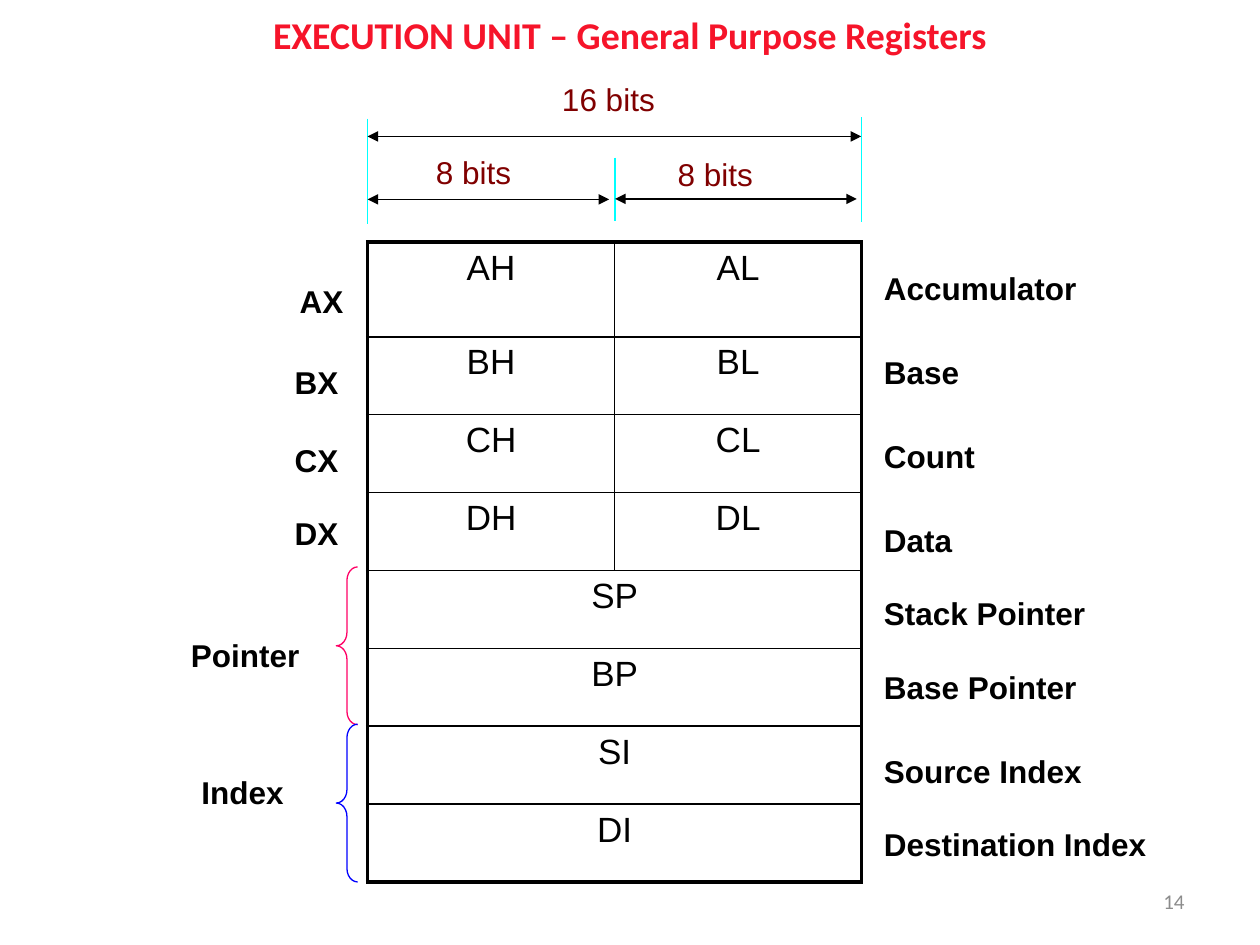
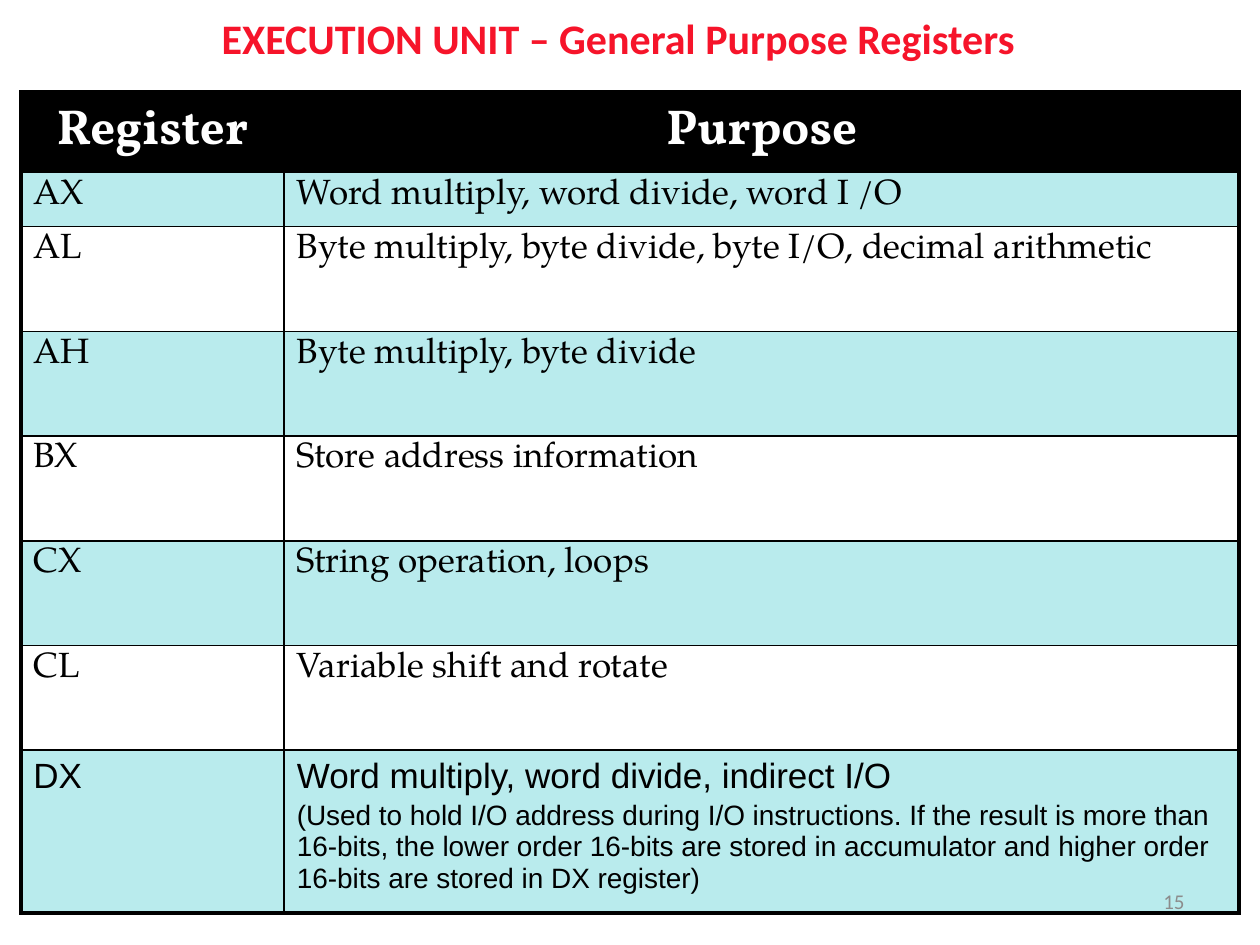
"""Builds two slides on the general purpose registers of the execution unit."""
from lxml import etree
from pptx import Presentation, util as u
from pptx.dml.color import RGBColor
from pptx.enum import shapes, text as t
from pptx.oxml import parse_xml
from pptx.oxml.ns import nsdecls, qn

BLACK, WHITE, RED, MAROON = "000000", "FFFFFF", "F6142A", "800000"
AQUA, CYAN, GREY, PINK, BLUE = "B9EBED", "00FFFF", "8C8C8C", "FF0066", "0000FF"
SANS, HEAD, SERIF, TITLE = "Arial", "Vollkorn", "TeX Gyre Pagella", "Calibri"
LEFT, MID, RIGHT = t.PP_ALIGN.LEFT, t.PP_ALIGN.CENTER, t.PP_ALIGN.RIGHT


def hue(code):
    return RGBColor.from_string(code)


def write(frame, words, size=18, face=SANS, color=BLACK, bold=False, align=LEFT, gap=None):
    para = frame.paragraphs[0]
    if gap:
        para = frame.add_paragraph()
        para.space_before = u.Pt(gap)
    para.alignment = align
    run = para.add_run()
    run.text = words
    font = run.font
    font.size, font.name, font.bold = u.Pt(size), face, bold
    font.color.rgb = hue(color)
    return run


deck = Presentation()
deck.slide_width, deck.slide_height = u.Cm(25.4), u.Cm(19.05)

bits = [["AH", "AL"], ["BH", "BL"], ["CH", "CL"], ["DH", "DL"],
        ["SP"], ["BP"], ["SI"], ["DI"]]
uses = [["Register", "Purpose"],
        ["AX", "Word multiply, word divide, word I /O"],
        ["AL", "Byte multiply, byte divide, byte I/O, decimal arithmetic"],
        ["AH", "Byte multiply, byte divide"],
        ["BX", "Store address information"],
        ["CX", "String operation, loops"],
        ["CL", "Variable shift and rotate"],
        ["DX", "Word multiply, word divide, indirect I/O"]]
note = ("(Used to hold I/O address during I/O instructions. If the result is more than "
        "16-bits, the lower order 16-bits are stored in accumulator and higher order "
        "16-bits are stored in DX register)")
pages = [
    (14, 21.6, (0, 0.15, 25.4, 1.07), bits, (7.41, 4.88), (4.98, 4.98), [1.91] + [1.57] * 7),
    (15, 24, (0.3, 0.1, 24.33, 1.3), uses, (0.42, 1.85), (5.31, 19.25),
     [1.45, 1.09] + [2.11] * 5 + [3.28]),
]

for num, size, place, data, spot, wides, highs in pages:
    slide = deck.slides.add_slide(deck.slide_layouts[5])
    title = slide.shapes.title
    title.left, title.top, title.width, title.height = map(u.Cm, place)
    frame = title.text_frame
    frame.auto_size, frame.vertical_anchor = t.MSO_AUTO_SIZE.NONE, t.MSO_ANCHOR.MIDDLE
    run = write(frame, "EXECUTION UNIT – General Purpose Registers", size=size, face=TITLE,
                color=RED, bold=True, align=MID)
    run._r.rPr.find(qn("a:solidFill")).addnext(parse_xml(
        f'<a:effectLst {nsdecls("a")}><a:outerShdw blurRad="38100" dist="38100" dir="2700000">'
        '<a:srgbClr val="EEECE1"/></a:outerShdw></a:effectLst>'))

    table = slide.shapes.add_table(len(data), 2, *map(u.Cm, (*spot, sum(wides), sum(highs)))).table
    table.first_row = table.horz_banding = False
    for col, wide in zip(table.columns, wides):
        col.width = u.Cm(wide)
    for r, (high, row) in enumerate(zip(highs, data)):
        table.rows[r].height = u.Cm(high)
        whole = len(row) == 1
        if whole:
            table.cell(r, 0).merge(table.cell(r, 1))
        for c in range(2):
            cell = table.cell(r, c)
            props = cell._tc.get_or_add_tcPr()
            edges = {"L": c == 0 or whole, "R": c == 1 or whole,
                     "T": r == 0, "B": r == len(data) - 1}
            for side, outer in edges.items():
                line = etree.SubElement(props, qn(f"a:ln{side}"), w=str(u.Pt(2.25 if outer else 1)))
                paint = etree.SubElement(line, qn("a:solidFill"))
                etree.SubElement(paint, qn("a:srgbClr"), val=BLACK)
            if data is uses and (r == 0 or r % 2):
                cell.fill.solid()
                cell.fill.fore_color.rgb = hue(AQUA if r else BLACK)
            else:
                cell.fill.background()
        for c, words in enumerate(row):
            frame = table.cell(r, c).text_frame
            if data is bits:
                write(frame, words, size=20, align=MID)
            elif r == 0:
                write(frame, words, size=28, face=HEAD, color=WHITE, bold=True, align=MID)
            else:
                write(frame, words, size=20, face=SANS if words in uses[-1] else SERIF)
    if data is uses:
        write(table.cell(7, 1).text_frame, note, size=16, gap=3)

    box = slide.shapes.add_textbox(*map(u.Cm, (18.2, 17.66, 5.93, 1.01)))
    box.text_frame.word_wrap = True
    box.text_frame.vertical_anchor = t.MSO_ANCHOR.MIDDLE
    write(box.text_frame, str(num), size=12, face=TITLE, color=GREY, align=RIGHT)

draw = deck.slides[0].shapes
for top, color in ((11.43, PINK), (14.6, BLUE)):
    brace = draw.add_shape(shapes.MSO_SHAPE.LEFT_BRACE, *map(u.Cm, (6.78, top, 0.43, 3.18)))
    brace.shadow.inherit = False
    brace.adjustments[0] = 0.63
    brace.fill.background()
    brace.line.color.rgb = hue(color)
    brace.line.width = u.Pt(0.75)

rules = [(12.4, 3.18, 12.4, 4.45, CYAN), (7.41, 2.39, 7.41, 4.52, CYAN),
         (17.36, 2.36, 17.36, 4.47, CYAN), (7.41, 4.02, 12.28, 4.02, BLACK),
         (12.4, 4.01, 17.27, 4.01, BLACK), (7.41, 2.75, 17.36, 2.75, BLACK)]
for *ends, color in rules:
    rule = draw.add_connector(shapes.MSO_CONNECTOR.STRAIGHT, *map(u.Cm, ends))
    rule.line.color.rgb = hue(color)
    rule.line.width = u.Pt(0.75)
    etree.SubElement(rule._element.spPr, qn("a:effectLst"))
    if color == BLACK:
        for end in ("headEnd", "tailEnd"):
            etree.SubElement(rule.line._get_or_add_ln(), qn(f"a:{end}"), type="triangle")

names = ["Accumulator", "Base", "Count", "Data", "Stack Pointer", "Base Pointer",
         "Source Index", "Destination Index"]
tops = [5.29, 6.99, 8.68, 10.37, 11.85, 13.34, 15.03, 16.51]
labels = [(name, 17.57, top, 6.78) for name, top in zip(names, tops)]
labels += [("AX", 5.79, 5.56, 1.7), ("BX", 5.69, 7.19, 1.7), ("CX", 5.69, 8.76, 1.7),
           ("DX", 5.69, 10.24, 1.7), ("Pointer", 3.6, 12.7, 2.97), ("Index", 3.81, 15.45, 2.97),
           ("8 bits", 7.83, 2.96, 4.24), ("8 bits", 12.7, 3, 4.24), ("16 bits", 10.37, 1.48, 4.24)]
for words, left, top, wide in labels:
    box = draw.add_textbox(*map(u.Cm, (left, top, wide, 1.02)))
    frame = box.text_frame
    frame.word_wrap = True
    sized = words.endswith("bits")
    if sized:
        frame.margin_left = u.Cm(0.96)
    write(frame, words, color=MAROON if sized else BLACK, bold=not sized)

deck.save("out.pptx")
